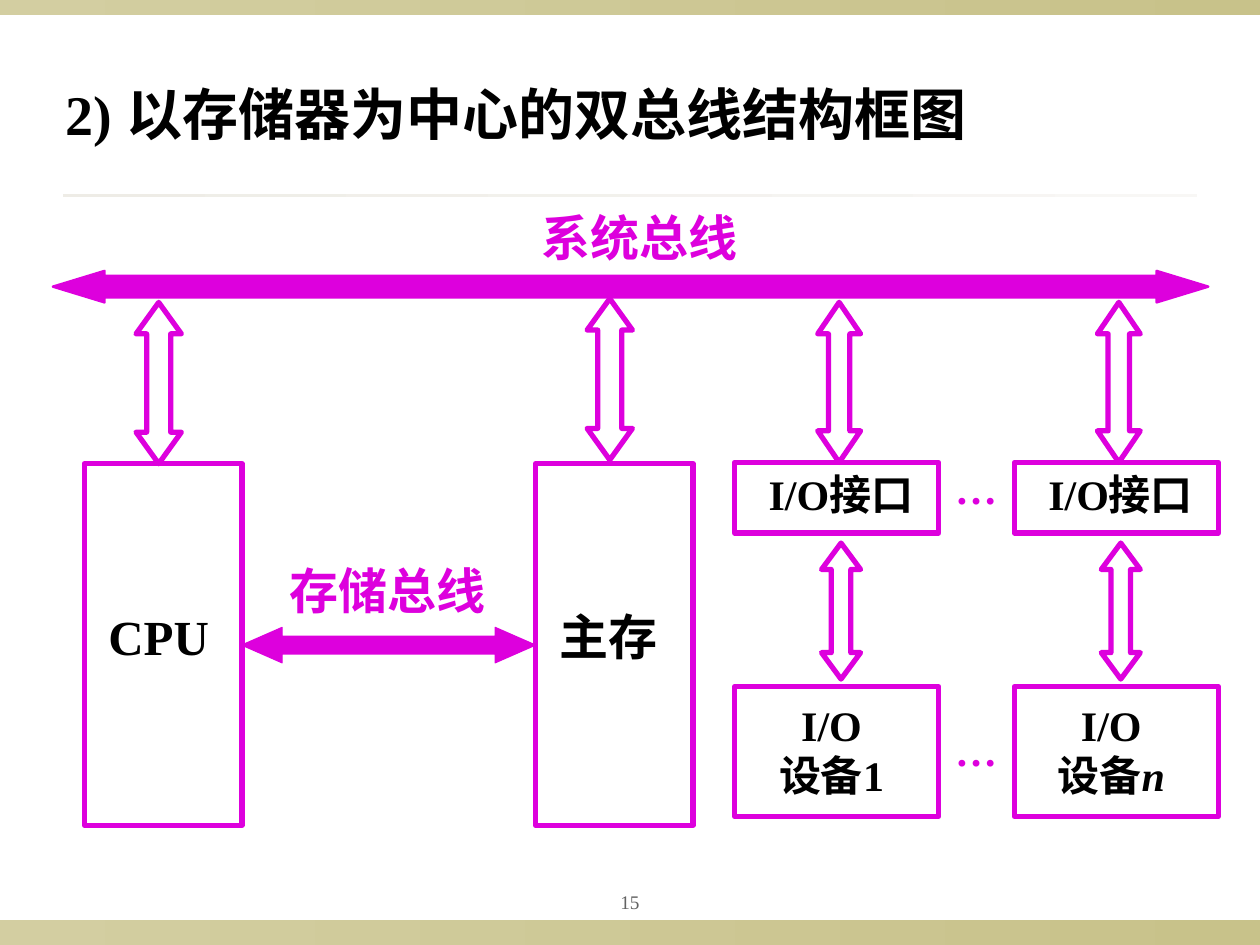
from lxml import etree
from pptx import Presentation, util as u
from pptx.dml.color import RGBColor
from pptx.enum import shapes, text
from pptx.oxml.ns import qn

MAGENTA = RGBColor(0xDD, 0x00, 0xDD)
BLACK = RGBColor(0, 0, 0)
GREY = RGBColor(0x63, 0x63, 0x63)
BAND = (RGBColor(0xD3, 0xCE, 0xA1), RGBColor(0xC8, 0xC2, 0x8A))
RULE = (RGBColor(0xEE, 0xEC, 0xE6), RGBColor(0xF8, 0xF7, 0xF5))
LATIN, CJK = "Times New Roman", "Noto Sans CJK SC"
SHAPE, ALIGN, ANCHOR = shapes.MSO_SHAPE, text.PP_ALIGN, text.MSO_ANCHOR


def inches(*values):
    return [u.Inches(v) for v in values]


def put_text(sp, lines, size=24, color=BLACK, bold=True, font=LATIN, align=ALIGN.LEFT,
             anchor=ANCHOR.TOP, insets=(0.1, 0.05, 0.1, 0.05), wrap=True):
    """Fill sp with lines, each a list of (words, italic) runs; insets run left, top, right, bottom."""
    tf = sp.text_frame
    tf.word_wrap, tf.vertical_anchor = wrap, anchor
    tf.margin_left, tf.margin_top, tf.margin_right, tf.margin_bottom = inches(*insets)
    for i, line in enumerate(lines):
        p = tf.add_paragraph() if i else tf.paragraphs[0]
        p.alignment = align
        for words, italic in line:
            r = p.add_run()
            r.text = words
            f = r.font
            f.size, f.bold, f.italic, f.name = u.Pt(size), bold, italic, font
            f.color.rgb = color
            etree.SubElement(r._r.get_or_add_rPr(), qn("a:ea")).set("typeface", CJK)


def label(s, box, words, **fmt):
    sp = s.shapes.add_textbox(*inches(*box))
    put_text(sp, [[(words, False)]], **fmt)


def outline(sp, width=3, filled=False):
    sp.shadow.inherit = False
    if filled:
        sp.fill.solid()
        sp.fill.fore_color.rgb = MAGENTA
    else:
        sp.fill.background()
    sp.line.color.rgb = MAGENTA
    sp.line.width = u.Pt(width)


def gradient_bar(s, box, colors):
    sp = s.shapes.add_shape(SHAPE.RECTANGLE, *inches(*box))
    sp.shadow.inherit = False
    sp.line.fill.background()
    sp.fill.gradient()
    sp.fill.gradient_angle = 0
    for stop, color in zip(sp.fill.gradient_stops, colors):
        stop.color.rgb = color


def unit(s, box, lines, **fmt):
    sp = s.shapes.add_shape(SHAPE.RECTANGLE, *inches(*box))
    outline(sp)
    put_text(sp, lines, **fmt)


def double_arrow(s, box, head, shaft, horizontal=False, **line):
    """Draw a two-headed block arrow; head is its length, shaft its share of the breadth."""
    x, y, w, h = box
    length, breadth = (w, h) if horizontal else (h, w)
    near, far = breadth * (1 - shaft) / 2, breadth * (1 + shaft) / 2
    tail = length - head
    points = [(0, breadth / 2), (head, breadth), (head, far), (tail, far), (tail, breadth),
              (length, breadth / 2), (tail, 0), (tail, near), (head, near), (head, 0)]
    if not horizontal:
        points = [(b, a) for a, b in points]
    points = [inches(x + a, y + b) for a, b in points]
    fb = s.shapes.build_freeform(*points[0])
    fb.add_line_segments(points[1:], close=True)
    outline(fb.convert_to_shape(), **line)


def frame(s, page):
    gradient_bar(s, (0, 7.3, 10, 0.2), BAND)
    gradient_bar(s, (0, 0, 10, 0.12), BAND)
    gradient_bar(s, (0.5, 1.54, 9, 0.02), RULE)
    label(s, (4.5, 7, 1, 0.31), page, size=11, color=GREY, bold=False,
          align=ALIGN.CENTER, anchor=ANCHOR.MIDDLE, insets=(0.05,) * 4)


def system_bus(s, x, y, w):
    label(s, (x + 3.88, y - 0.5, 2.53, 0.47), "系统总线", size=28, color=MAGENTA,
          font=CJK, insets=(0,) * 4)
    double_arrow(s, (x, y, w, 0.25), 0.41, 0.68, horizontal=True, width=1.39, filled=True)


def tall_unit(s, x, y, name, arrow_top):
    unit(s, (x, y, 1.25, 2.87), [[(name, False)]], size=28, anchor=ANCHOR.MIDDLE,
         insets=(0.19, 0.05, 0.05, 0.18))
    double_arrow(s, (x + 0.41, arrow_top, 0.36, 1.28), 0.25, 0.53)


def storage_bus(s, x, y, w):
    sp = s.shapes.add_shape(SHAPE.LEFT_RIGHT_ARROW, *inches(x, y, w, 0.28))
    sp.adjustments[0], sp.adjustments[1] = 0.5, 1.14
    outline(sp, width=0.75, filled=True)
    label(s, (x + 0.28, y - 0.58, 1.75, 0.57), "存储总线", size=28, color=MAGENTA, wrap=False)


def io_column(s, x, y, number, italic):
    """Stack bus arrow, interface, link arrow and device, with the interface at x, y."""
    double_arrow(s, (x + 0.66, y - 1.27, 0.34, 1.27), 0.25, 0.5)
    unit(s, (x, y, 1.62, 0.56), [[("I/O接口", False)]], insets=(0.27, 0.05, 0, 0.05))
    double_arrow(s, (x + 0.69, y + 0.64, 0.31, 1.08), 0.21, 0.5)
    unit(s, (x, y + 1.78, 1.62, 1.03), [[("I/O", False)], [("设备", False), (number, italic)]],
         align=ALIGN.CENTER, insets=(0.1, 0.1, 0.18, 0.05))


def main():
    prs = Presentation()
    prs.slide_width, prs.slide_height = inches(10, 7.5)
    s = prs.slides.add_slide(prs.slide_layouts[6])
    frame(s, "15")
    label(s, (0.42, 0.58, 8.67, 0.64), "2) 以存储器为中心的双总线结构框图", size=32)
    system_bus(s, 0.42, 2.15, 9.17)
    tall_unit(s, 0.67, 3.68, "CPU", 2.4)
    tall_unit(s, 4.25, 3.68, "主存", 2.37)
    storage_bus(s, 1.92, 4.98, 2.33)
    io_column(s, 5.83, 3.67, "1", False)
    io_column(s, 8.05, 3.67, "n", True)
    for y in (3.67, 5.75):
        label(s, (7.58, y, 0.33, 0.4), "…", color=MAGENTA, insets=(0,) * 4, wrap=False)
    prs.save("out.pptx")


if __name__ == "__main__":
    main()
